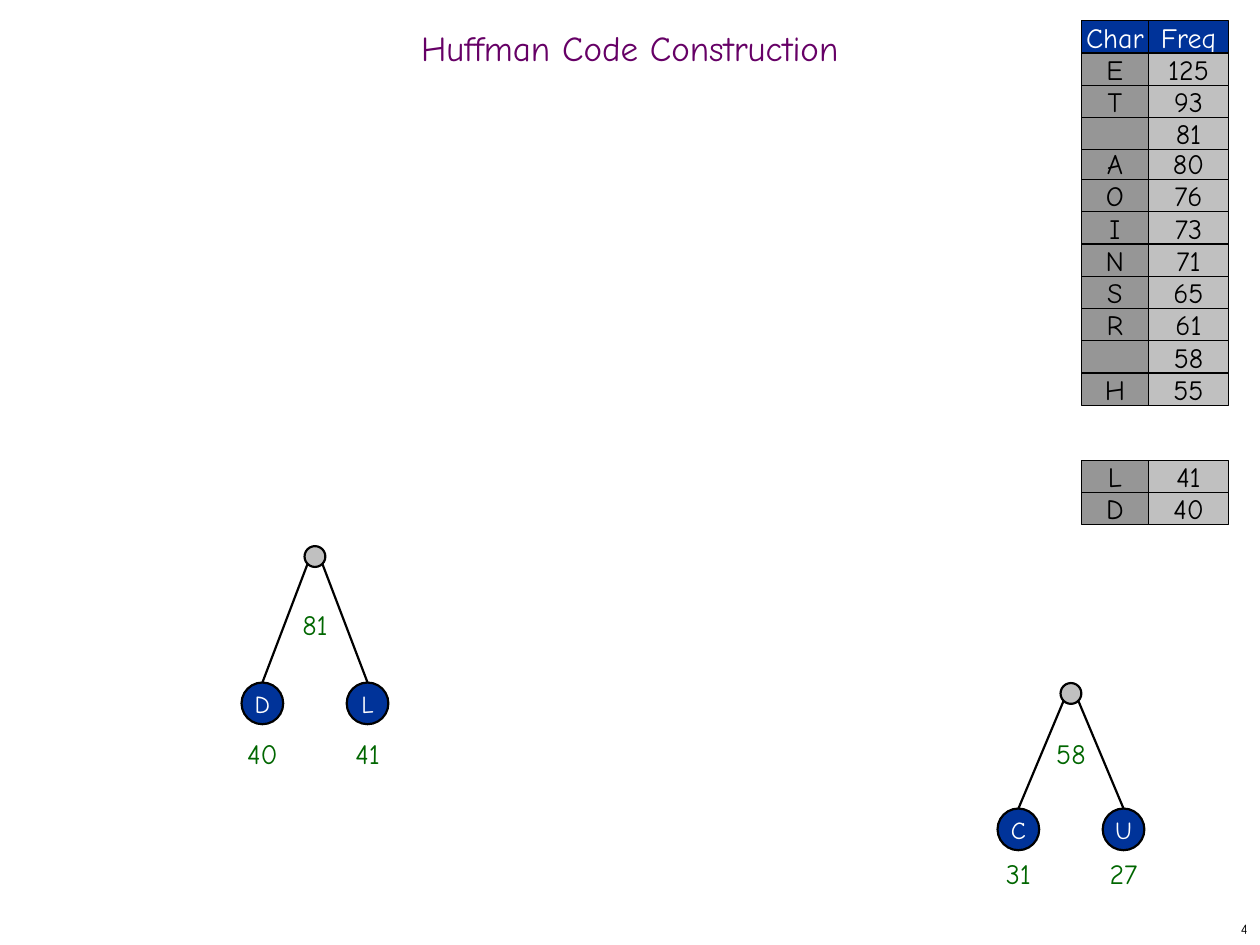
from dataclasses import dataclass

from lxml import etree
from pptx import Presentation
from pptx import util as u
from pptx.dml.color import RGBColor
from pptx.enum import shapes, text
from pptx.oxml.ns import qn

FONT = "Comic Neue"
COLORS = {
    "title": "660066",
    "weight": "006600",
    "blue": "003399",
    "char": "969696",
    "freq": "C0C0C0",
    "black": "000000",
    "white": "FFFFFF",
}

# Lengths in centimetres
ROOT_RADIUS, LEAF_RADIUS = 0.21, 0.42
LEAF_SPREAD = 1.06
EDGE_OFFSET = 0.15
WEIGHT_WIDTH, WEIGHT_HEIGHT = 1.7, 0.94
CHAR_LEFT, CHAR_WIDTH = 21.8, 1.35
FREQ_LEFT, FREQ_WIDTH = CHAR_LEFT + CHAR_WIDTH, 1.62
ROW_HEIGHT = 0.65


@dataclass
class Leaf:
    char: str
    weight: int


@dataclass
class Tree:
    x: float
    root_y: float
    leaf_y: float
    weight: int
    weight_top: float
    leaf_weight_top: float
    left: Leaf
    right: Leaf


@dataclass
class FrequencyBlock:
    top: float
    rows: list[tuple[str, str]]
    has_header: bool = False


TREES = [
    Tree(21.59, 13.98, 16.72, 58, 14.73, 17.15, Leaf("C", 31), Leaf("U", 27)),
    Tree(6.35, 11.22, 14.18, 81, 12.12, 14.73, Leaf("D", 40), Leaf("L", 41)),
]
# The header block comes last: its bottom row slightly overlaps the next block
BLOCKS = [
    FrequencyBlock(2.97, [
        ("A", "80"), ("O", "76"), ("I", "73"), ("N", "71"),
        ("S", "65"), ("R", "61"), ("", "58"), ("H", "55"),
    ]),
    FrequencyBlock(9.28, [("L", "41"), ("D", "40")]),
    FrequencyBlock(0.42, [("Char", "Freq"), ("E", "125"), ("T", "93"), ("", "81")],
                   has_header=True),
]


def rgb(color: str) -> RGBColor:
    return RGBColor.from_string(COLORS[color])


def write(frame, content: str, size: float, color: str,
          align=text.PP_ALIGN.CENTER) -> None:
    frame.text = content
    paragraph = frame.paragraphs[0]
    paragraph.alignment = align
    for run in paragraph.runs:
        run.font.name = FONT
        run.font.size = u.Pt(size)
        run.font.color.rgb = rgb(color)


def add_outlined(slide, preset, left: float, top: float, width: float, height: float,
                 fill: str, line_width: float):
    """Add a filled shape with a black outline and unwrapped, centred text."""
    shape = slide.shapes.add_shape(preset, u.Cm(left), u.Cm(top), u.Cm(width), u.Cm(height))
    shape.shadow.inherit = False
    shape.fill.solid()
    shape.fill.fore_color.rgb = rgb(fill)
    shape.line.color.rgb = rgb("black")
    shape.line.width = u.Pt(line_width)
    shape.text_frame.word_wrap = False
    shape.text_frame.vertical_anchor = text.MSO_ANCHOR.MIDDLE
    return shape


def add_node(slide, x: float, y: float, radius: float, fill: str, char: str = "") -> None:
    """Draw a circle centred on (x, y)."""
    node = add_outlined(slide, shapes.MSO_SHAPE.OVAL, x - radius, y - radius,
                        2 * radius, 2 * radius, fill, 1.25)
    if char:
        write(node.text_frame, char, 14, "white")


def add_edge(slide, x1: float, y1: float, x2: float, y2: float) -> None:
    edge = slide.shapes.add_connector(
        shapes.MSO_CONNECTOR.STRAIGHT, u.Cm(x1), u.Cm(y1), u.Cm(x2), u.Cm(y2))
    edge.line.color.rgb = rgb("black")
    edge.line.width = u.Pt(1.25)
    etree.SubElement(edge._element.spPr, qn("a:effectLst"))


def add_weight(slide, x: float, top: float, weight: int) -> None:
    label = slide.shapes.add_textbox(
        u.Cm(x - WEIGHT_WIDTH / 2), u.Cm(top), u.Cm(WEIGHT_WIDTH), u.Cm(WEIGHT_HEIGHT))
    label.text_frame.word_wrap = True
    write(label.text_frame, str(weight), 16, "weight")


def add_tree(slide, tree: Tree) -> None:
    add_node(slide, tree.x, tree.root_y, ROOT_RADIUS, "freq")
    add_weight(slide, tree.x, tree.weight_top, tree.weight)
    for side, leaf in ((-1, tree.left), (1, tree.right)):
        leaf_x = tree.x + side * LEAF_SPREAD
        add_edge(slide, tree.x + side * EDGE_OFFSET, tree.root_y + EDGE_OFFSET,
                 leaf_x, tree.leaf_y - LEAF_RADIUS)
        add_node(slide, leaf_x, tree.leaf_y, LEAF_RADIUS, "blue", leaf.char)
        add_weight(slide, leaf_x, tree.leaf_weight_top, leaf.weight)


def add_frequency_block(slide, block: FrequencyBlock) -> None:
    columns = ((CHAR_LEFT, CHAR_WIDTH, "char"), (FREQ_LEFT, FREQ_WIDTH, "freq"))
    for i, row in enumerate(block.rows):
        is_header = block.has_header and i == 0
        for content, (left, width, shade) in zip(row, columns):
            cell = add_outlined(
                slide, shapes.MSO_SHAPE.RECTANGLE, left, block.top + i * ROW_HEIGHT,
                width, ROW_HEIGHT, "blue" if is_header else shade, 0.75)
            if content:
                write(cell.text_frame, content, 16, "white" if is_header else "black")


def add_title(slide, content: str) -> None:
    title = slide.shapes.title
    title.left, title.top = u.Cm(0), u.Cm(0.42)
    title.width, title.height = u.Cm(25.4), u.Cm(1.27)
    frame = title.text_frame
    frame.auto_size = text.MSO_AUTO_SIZE.NONE
    frame.vertical_anchor = text.MSO_ANCHOR.MIDDLE
    write(frame, content, 20, "title")
    frame.paragraphs[0].line_spacing = 0.7


def add_page_number(slide, number: int) -> None:
    page = slide.shapes.add_textbox(u.Cm(20.12), u.Cm(18.42), u.Cm(5.28), u.Cm(0.63))
    page.text_frame.word_wrap = True
    page.text_frame.vertical_anchor = text.MSO_ANCHOR.MIDDLE
    write(page.text_frame, str(number), 8, "black", text.PP_ALIGN.RIGHT)


def main() -> None:
    deck = Presentation()
    deck.slide_width, deck.slide_height = u.Cm(25.4), u.Cm(19.05)
    slide = deck.slides.add_slide(deck.slide_layouts[5])
    add_title(slide, "Huffman Code Construction")
    add_page_number(slide, 4)
    for tree in TREES:
        add_tree(slide, tree)
    for block in BLOCKS:
        add_frequency_block(slide, block)
    deck.save("out.pptx")


if __name__ == "__main__":
    main()
